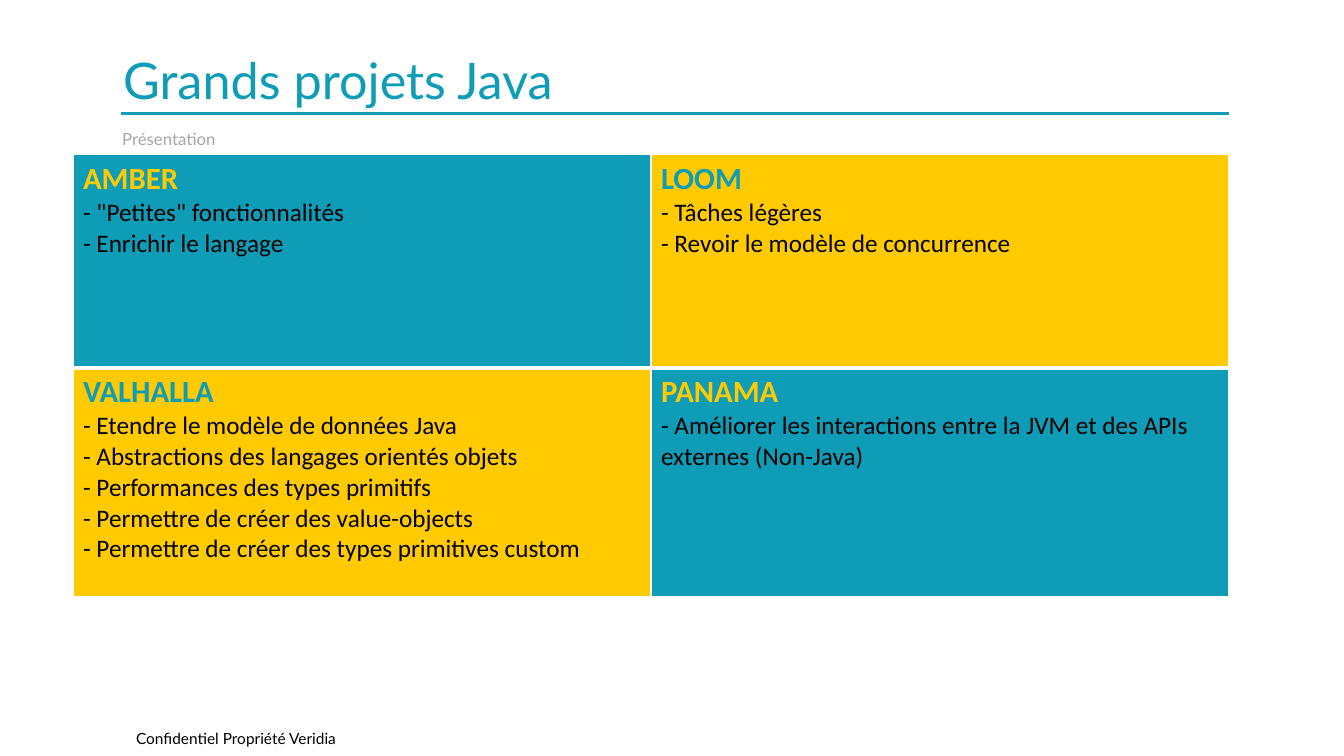
from dataclasses import dataclass

from lxml import etree
from pptx import Presentation
from pptx.dml.color import RGBColor
from pptx.enum import shapes, text
from pptx.oxml import ns
from pptx.util import Cm, Pt


@dataclass(frozen=True)
class Theme:
    teal: str = "0E9CB6"
    yellow: str = "FFCB00"
    black: str = "000000"
    grey: str = "A6A6A6"
    white: str = "FFFFFF"
    head_font: str = "Lato"
    body_font: str = "Calibri"
    title: int = 36
    heading: int = 22
    body: int = 18
    subtitle: int = 12
    footer: int = 11


T = Theme()

PROJECTS = [
    [("AMBER", ['- "Petites" fonctionnalités', "- Enrichir le langage"]),
     ("LOOM", ["- Tâches légères", "- Revoir le modèle de concurrence"])],
    [("VALHALLA", ["- Etendre le modèle de données Java",
                   "- Abstractions des langages orientés objets",
                   "- Performances des types primitifs",
                   "- Permettre de créer des value-objects",
                   "- Permettre de créer des types primitives custom"]),
     ("PANAMA", ["- Améliorer les interactions entre la JVM et des APIs "
                 "externes (Non-Java)"])],
]


def place(sp, left, top, width, height):
    box = {"left": left, "top": top, "width": width, "height": height}
    for name, value in box.items():
        setattr(sp, name, Cm(value))


def write(p, words, font, size, color, bold=False):
    p.alignment = text.PP_ALIGN.LEFT
    r = p.add_run()
    r.text = words
    for name, value in {"name": font, "size": Pt(size), "bold": bold}.items():
        setattr(r.font, name, value)
    r.font.color.rgb = RGBColor.from_string(color)


def fill_frame(sp, words, size, color):
    tf = sp.text_frame
    options = {"word_wrap": True, "auto_size": text.MSO_AUTO_SIZE.NONE,
               "vertical_anchor": text.MSO_ANCHOR.TOP}
    for name, value in options.items():
        setattr(tf, name, value)
    write(tf.paragraphs[0], words, T.head_font, size, color)


def add_label(s, words, box, size, color):
    sp = s.shapes.add_textbox(*map(Cm, box))
    fill_frame(sp, words, size, color)


def add_rule(s, left, right, y):
    sp = s.shapes.add_connector(shapes.MSO_CONNECTOR.STRAIGHT,
                                Cm(left), Cm(y), Cm(right), Cm(y))
    sp.line.color.rgb = RGBColor.from_string(T.teal)
    sp.line.width = Pt(2.25)
    etree.SubElement(sp._element.spPr, ns.qn("a:effectLst"))


def set_borders(cell, widths):
    props = cell._tc.get_or_add_tcPr()
    for i, (side, width) in enumerate(widths.items()):
        ln = etree.Element(ns.qn(f"a:ln{side}"), w=str(Pt(width)))
        fill = etree.SubElement(ln, ns.qn("a:solidFill"))
        etree.SubElement(fill, ns.qn("a:srgbClr"), val=T.white)
        props.insert(i, ln)


def fill_cell(cell, heading, lines, back, accent):
    cell.fill.solid()
    cell.fill.fore_color.rgb = RGBColor.from_string(back)
    tf = cell.text_frame
    write(tf.paragraphs[0], heading, T.body_font, T.heading, accent, True)
    for line in lines:
        write(tf.add_paragraph(), line, T.body_font, T.body, T.black)


def add_projects(s, left, top, width, heights):
    rows, cols = len(PROJECTS), len(PROJECTS[0])
    table = s.shapes.add_table(rows, cols, Cm(left), Cm(top), Cm(width),
                               Cm(sum(heights))).table
    table.first_row = table.horz_banding = False
    for row, height in zip(table.rows, heights):
        row.height = Cm(height)
    for i, projects in enumerate(PROJECTS):
        for j, (heading, lines) in enumerate(projects):
            pair = (T.teal, T.yellow) if (i + j) % 2 == 0 else (T.yellow, T.teal)
            cell = table.cell(i, j)
            fill_cell(cell, heading, lines, *pair)
            set_borders(cell, {"L": 0.96, "R": 0.96, "T": 3 if i else 0.96,
                               "B": 0.96 if i else 3})


def main():
    prs = Presentation()
    prs.slide_width, prs.slide_height = Cm(33.87), Cm(19.05)
    s = prs.slides.add_slide(prs.slide_layouts[5])
    add_rule(s, 3.06, 30.97, 2.86)
    place(s.shapes.title, 2.85, 1.1, 28.12, 1.95)
    fill_frame(s.shapes.title, "Grands projets Java", T.title, T.teal)
    add_projects(s, 1.84, 3.9, 29.13, [5.38, 5.76])
    add_label(s, "Présentation", (2.83, 3.13, 28.16, 0.9), T.subtitle, T.grey)
    add_label(s, "Confidentiel Propriété Veridia", (3.18, 18.26, 5.74, 1.17),
              T.footer, T.black)
    prs.save("out.pptx")


if __name__ == "__main__":
    main()
